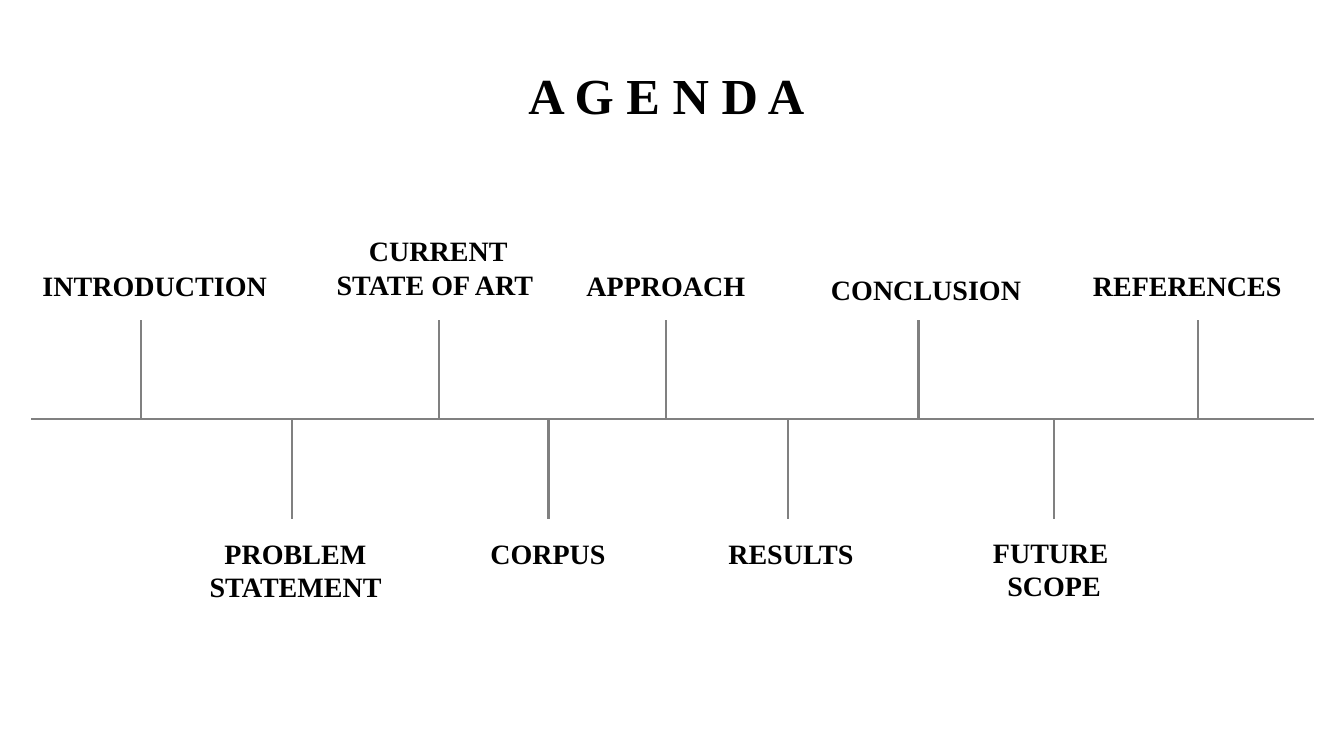
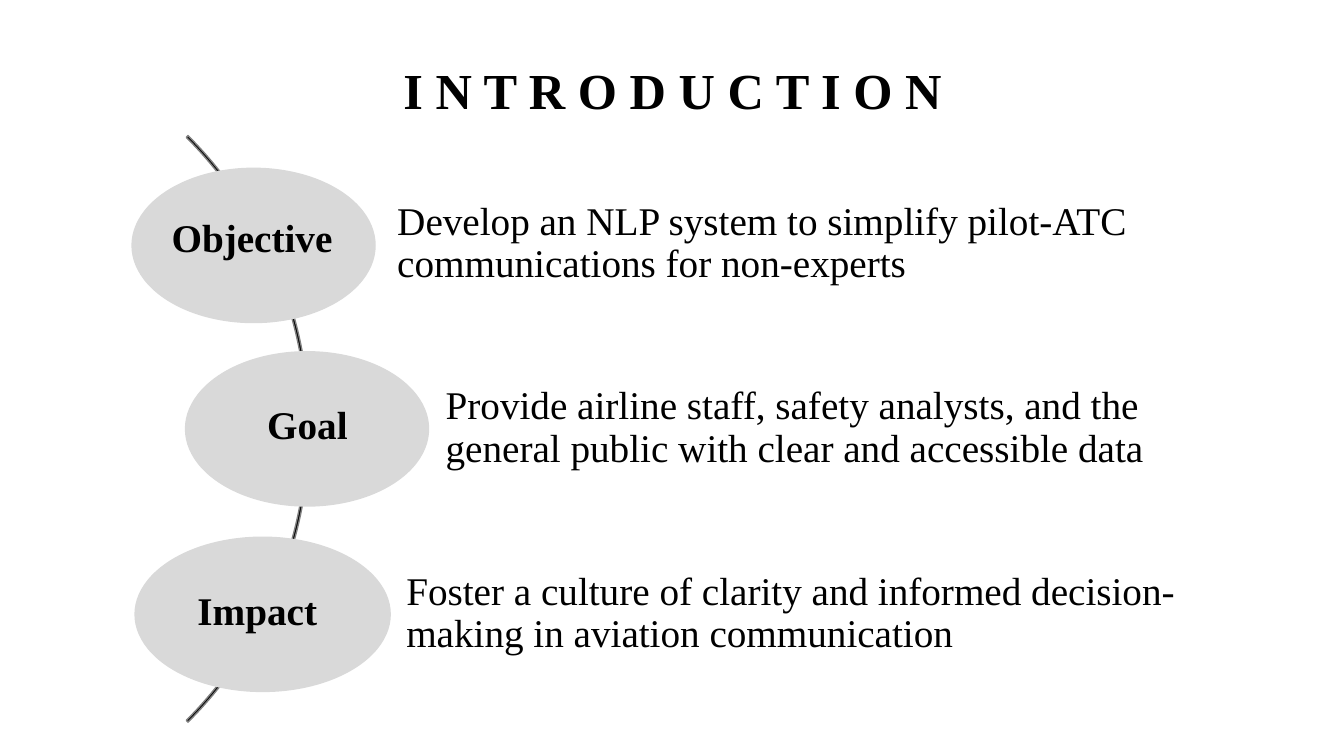
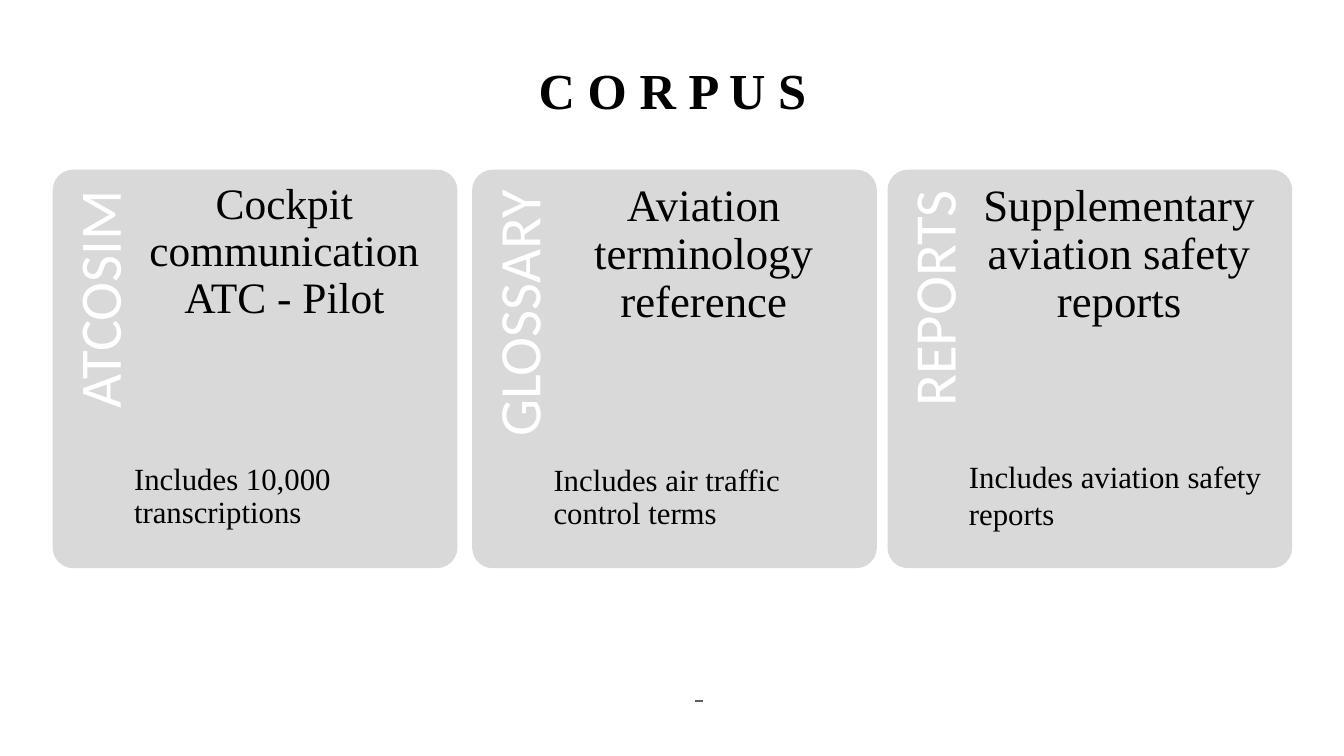
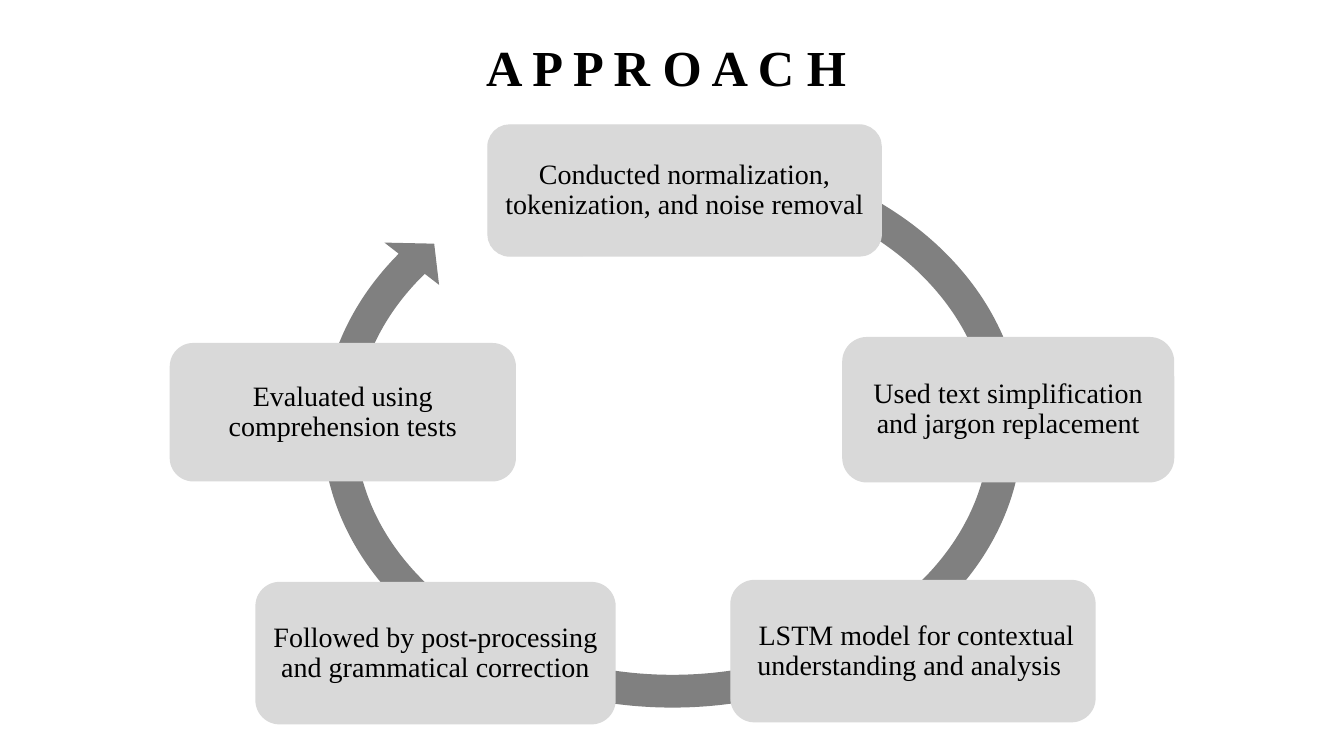
from dataclasses import dataclass

from lxml import etree
from pptx import Presentation
from pptx.dml.color import RGBColor
from pptx.enum.shapes import MSO_CONNECTOR, MSO_SHAPE
from pptx.enum.text import MSO_ANCHOR, PP_ALIGN
from pptx.oxml.ns import qn
from pptx.shapes.autoshape import Shape
from pptx.slide import Slide
from pptx.util import Emu, Pt

STRAIGHT = MSO_CONNECTOR.STRAIGHT
ARC = MSO_SHAPE.BLOCK_ARC
CYCLE_ARROW = MSO_SHAPE.CIRCULAR_ARROW
ELLIPSE = MSO_SHAPE.OVAL
ROUNDED = MSO_SHAPE.ROUNDED_RECTANGLE
LEFT, CENTER, RIGHT = PP_ALIGN.LEFT, PP_ALIGN.CENTER, PP_ALIGN.RIGHT
TOP, MIDDLE = MSO_ANCHOR.TOP, MSO_ANCHOR.MIDDLE

EMU_PER_PX = 9144
ADJUSTMENT_UNIT = 100000


@dataclass(frozen=True)
class Theme:
    ink: str = "000000"
    paper: str = "FFFFFF"
    panel: str = "D9D9D9"
    line: str = "808080"
    mark: str = "5F5F5F"
    serif: str = "Times New Roman"
    sans: str = "Calibri"
    title: int = 36
    body: int = 28
    label: int = 20
    note: int = 22
    spine: int = 42
    tight: float = 0.9


THEME = Theme()


@dataclass(frozen=True)
class Box:
    left: int
    top: int
    width: int
    height: int

    def emu(self) -> list[Emu]:
        return [px(value) for value in (self.left, self.top, self.width, self.height)]


@dataclass(frozen=True)
class TextStyle:
    size: int
    bold: bool = False
    color: str = THEME.ink
    font: str = THEME.serif
    align: PP_ALIGN = CENTER
    anchor: MSO_ANCHOR = TOP
    spacing: float = 1.0
    insets: tuple[int, int, int, int] = (10, 5, 10, 5)


TITLE = TextStyle(THEME.title, bold=True, anchor=MIDDLE)
TIGHT_TITLE = TextStyle(THEME.title, bold=True, anchor=MIDDLE, spacing=THEME.tight)
AGENDA_LABEL = TextStyle(THEME.label, bold=True)
POINT_LABEL = TextStyle(THEME.body, bold=True)
POINT_TEXT = TextStyle(
    THEME.body, align=LEFT, anchor=MIDDLE, spacing=THEME.tight, insets=(97, 8, 8, 8)
)
SPINE = TextStyle(
    THEME.spine,
    color=THEME.paper,
    font=THEME.sans,
    align=RIGHT,
    spacing=THEME.tight,
    insets=(0, 16, 20, 0),
)
STEP = TextStyle(THEME.label, anchor=MIDDLE, spacing=THEME.tight, insets=(8, 8, 8, 8))


@dataclass(frozen=True)
class AgendaItem:
    stem: int
    above: bool
    left: int
    top: int
    lines: tuple[str, ...]
    height: int = 44


@dataclass(frozen=True)
class Point:
    label: str
    text: str
    ellipse: Box
    label_box: Box
    text_box: Box


@dataclass(frozen=True)
class CorpusCard:
    name: str
    heading: str
    heading_size: int
    note: str
    left: int
    note_top: int
    note_spacing: float


@dataclass(frozen=True)
class Step:
    text: str
    box: Box


AGENDA = (
    AgendaItem(140, True, 30, 261, ("INTRODUCTION",)),
    AgendaItem(290, False, 173, 527, ("PROBLEM ", "STATEMENT "), 77),
    AgendaItem(435, True, 311, 227, ("CURRENT STATE OF ART ",), 77),
    AgendaItem(544, False, 420, 527, ("CORPUS",)),
    AgendaItem(661, True, 537, 261, ("APPROACH",)),
    AgendaItem(782, False, 661, 527, ("RESULTS",)),
    AgendaItem(911, True, 795, 265, ("CONCLUSION",)),
    AgendaItem(1045, False, 922, 526, ("FUTURE ", "SCOPE"), 77),
    AgendaItem(1188, True, 1054, 261, ("REFERENCES",)),
)

POINTS = (
    Point(
        "Objective",
        "Develop an NLP system to simplify pilot-ATC communications for non-experts",
        Box(131, 167, 241, 153),
        Box(158, 207, 184, 57),
        Box(297, 181, 946, 122),
    ),
    Point(
        "Goal",
        "Provide airline staff, safety analysts, and the general public with clear "
        "and accessible data",
        Box(184, 349, 241, 153),
        Box(213, 392, 184, 57),
        Box(345, 364, 908, 122),
    ),
    Point(
        "Impact ",
        "Foster a culture of clarity and informed decision-making in aviation communication",
        Box(134, 533, 253, 153),
        Box(168, 577, 184, 57),
        Box(306, 548, 940, 122),
    ),
)

CARDS = (
    CorpusCard("ATCOSIM", "Cockpit communication ATC - Pilot", 31,
               "Includes 10,000 transcriptions", 53, 460, THEME.tight),
    CorpusCard("GLOSSARY", "Aviation terminology reference", 32,
               "Includes air traffic control terms", 469, 461, THEME.tight),
    CorpusCard("REPORTS", "Supplementary aviation safety reports", 32,
               "Includes aviation safety reports", 881, 454, 1.0),
)

STEPS = (
    Step("Conducted normalization, tokenization, and noise removal ", Box(484, 124, 390, 130)),
    Step("Used text simplification and jargon replacement", Box(836, 335, 328, 143)),
    Step(" LSTM model for contextual understanding and analysis ", Box(725, 576, 361, 140)),
    Step("Followed by post-processing and grammatical correction", Box(254, 578, 356, 140)),
    Step("Evaluated using comprehension tests", Box(169, 341, 342, 136)),
)


def px(value: int) -> Emu:
    return Emu(value * EMU_PER_PX)


def rgb(color: str) -> RGBColor:
    return RGBColor.from_string(color)


def write_text(shape: Shape, lines: tuple[str, ...], style: TextStyle) -> None:
    frame = shape.text_frame
    frame.word_wrap = True
    frame.vertical_anchor = style.anchor
    (frame.margin_left, frame.margin_top,
     frame.margin_right, frame.margin_bottom) = [px(inset) for inset in style.insets]
    for index, line in enumerate(lines):
        paragraph = frame.add_paragraph() if index else frame.paragraphs[0]
        paragraph.alignment = style.align
        paragraph.line_spacing = style.spacing
        run = paragraph.add_run()
        run.text = line
        run.font.name = style.font
        run.font.size = Pt(style.size)
        run.font.bold = style.bold
        run.font.color.rgb = rgb(style.color)


def add_text(slide: Slide, box: Box, style: TextStyle, *lines: str) -> Shape:
    shape = slide.shapes.add_textbox(*box.emu())
    write_text(shape, lines, style)
    return shape


def add_figure(
    slide: Slide,
    kind: MSO_SHAPE,
    box: Box,
    fill: str = THEME.panel,
    outline: str | None = THEME.panel,
    adjustments: tuple[int, ...] = (),
) -> Shape:
    shape = slide.shapes.add_shape(kind, *box.emu())
    shape.shadow.inherit = False
    shape.fill.solid()
    shape.fill.fore_color.rgb = rgb(fill)
    if outline is None:
        shape.line.fill.background()
    else:
        shape.line.color.rgb = rgb(outline)
        shape.line.width = Pt(1)
    for index, value in enumerate(adjustments):
        shape.adjustments[index] = value / ADJUSTMENT_UNIT
    return shape


def add_line(
    slide: Slide, start: tuple[int, int], end: tuple[int, int], color: str = THEME.line
) -> None:
    connector = slide.shapes.add_connector(
        STRAIGHT, *[px(value) for value in (*start, *end)]
    )
    connector.line.color.rgb = rgb(color)
    connector.line.width = Pt(1.5)
    etree.SubElement(connector._element.spPr, qn("a:effectLst"))


def build_agenda(slide: Slide) -> None:
    axis, stem_length, label_width = 416, 99, 247
    add_line(slide, (31, axis), (1303, axis))
    for item in AGENDA:
        tip = axis - stem_length if item.above else axis + stem_length
        add_line(slide, (item.stem, axis), (item.stem, tip))
        box = Box(item.left, item.top, label_width, item.height)
        add_text(slide, box, AGENDA_LABEL, *item.lines)
    add_text(slide, Box(433, 58, 456, 71), TITLE, "A G E N D A")


def build_introduction(slide: Slide) -> None:
    add_text(slide, Box(383, 49, 568, 86), TIGHT_TITLE, "I N T R O D U C T I O N")
    add_figure(slide, ARC, Box(-516, 14, 823, 823), THEME.ink, THEME.line,
               (18900000, 2700000, 300))
    for point in POINTS:
        add_text(slide, point.text_box, POINT_TEXT, point.text)
        add_figure(slide, ELLIPSE, point.ellipse)
        add_text(slide, point.label_box, POINT_LABEL, point.label)


def build_corpus(slide: Slide) -> None:
    top, width, height = 169, 400, 394
    spine_length, spine_width, text_width = 323, 80, 298
    add_text(slide, Box(254, 53, 826, 71), TITLE, "C O R P U S")
    for card in CARDS:
        add_figure(slide, ROUNDED, Box(card.left, top, width, height), adjustments=(5000,))
        turn = (spine_length - spine_width) // 2
        spine_box = Box(card.left - turn, top + turn, spine_length, spine_width)
        add_text(slide, spine_box, SPINE, card.name).rotation = 270
        text_left = card.left + spine_width
        heading = TextStyle(card.heading_size, spacing=THEME.tight, insets=(0, 12, 0, 0))
        add_text(slide, Box(text_left, top, text_width, 160), heading, card.heading)
        note = TextStyle(THEME.note, align=LEFT, spacing=card.note_spacing,
                         insets=(0, 0, 0, 0))
        add_text(slide, Box(text_left, card.note_top, text_width, 80), note, card.note)
    add_line(slide, (689, 695), (697, 695), THEME.mark)


def build_approach(slide: Slide) -> None:
    add_text(slide, Box(254, 30, 826, 71), TITLE, "A P P R O A C H ")
    add_figure(slide, CYCLE_ARROW, Box(302, 129, 730, 591), THEME.line, None,
               (5500, 330700, 12732100, 18059300, 5800))
    for step in STEPS:
        write_text(add_figure(slide, ROUNDED, step.box), (step.text,), STEP)


def main() -> None:
    presentation = Presentation()
    presentation.slide_width = px(1333)
    presentation.slide_height = px(750)
    blank = presentation.slide_layouts[6]
    for build in (build_agenda, build_introduction, build_corpus, build_approach):
        slide = presentation.slides.add_slide(blank)
        slide.background.fill.solid()
        slide.background.fill.fore_color.rgb = rgb(THEME.paper)
        build(slide)
    presentation.save("out.pptx")


if __name__ == "__main__":
    main()
